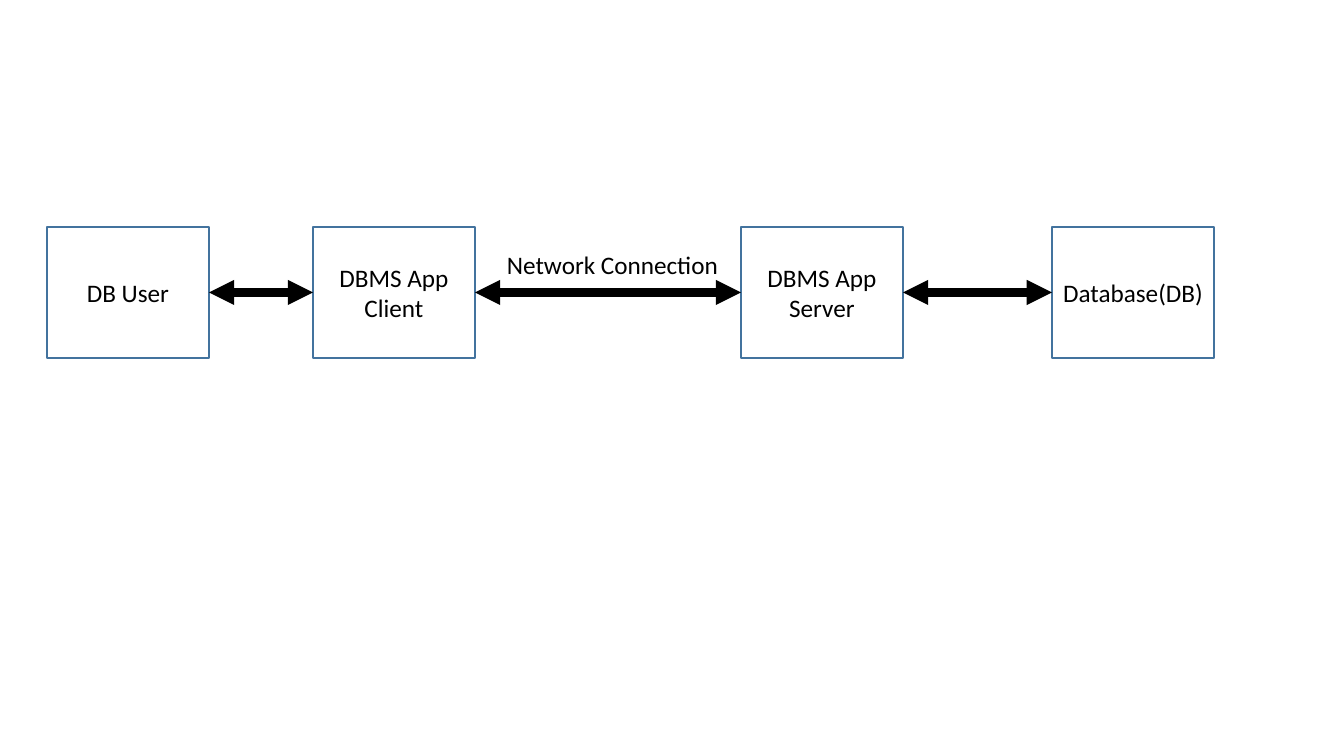
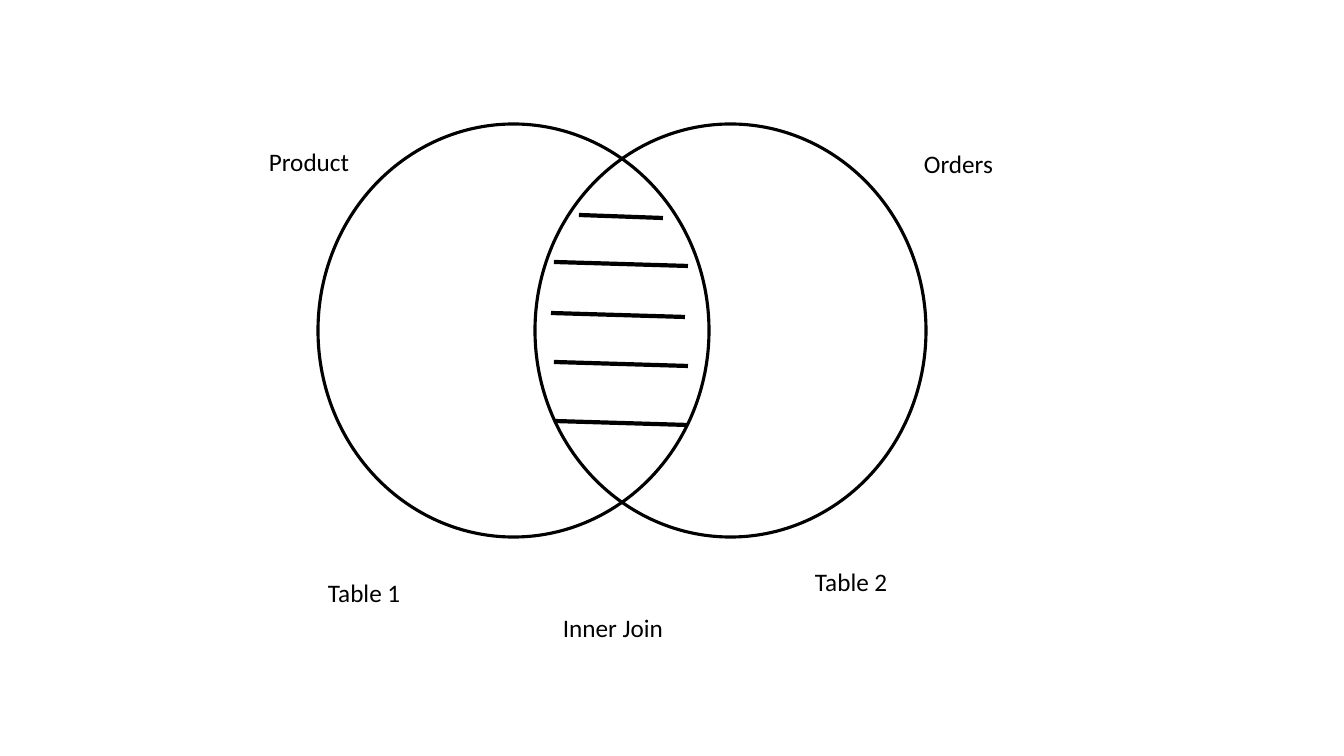
from itertools import pairwise

from lxml import etree
from pptx import Presentation
from pptx.dml.color import RGBColor
from pptx.enum.shapes import MSO_CONNECTOR, MSO_SHAPE
from pptx.enum.text import MSO_ANCHOR, MSO_AUTO_SIZE, PP_ALIGN
from pptx.oxml.ns import qn
from pptx.util import Pt

RECTANGLE, OVAL = MSO_SHAPE.RECTANGLE, MSO_SHAPE.OVAL
STRAIGHT = MSO_CONNECTOR.STRAIGHT
MIDDLE, CENTER, LEFT = MSO_ANCHOR.MIDDLE, PP_ALIGN.CENTER, PP_ALIGN.LEFT
FIT_SHAPE = MSO_AUTO_SIZE.SHAPE_TO_FIT_TEXT

COLORS = {"ink": "000000", "border": "43739E"}
FONT, TEXT_SIZE = "Calibri", 18
EMU_PER_PIXEL = 914400 / 100.8
PAGE_SIZE = (1344, 756)
LABEL_HEIGHT = 40

NODES = [
    ("DB User", 47),
    ("DBMS App\nClient", 313),
    ("DBMS App Server", 741),
    ("Database(DB)", 1052),
]
NODE_TOP, NODE_WIDTH, NODE_HEIGHT = 227, 162, 131
NETWORK_LABELS = [("Network Connection", 497, 244, 234)]

CIRCLE_LEFTS = (318, 535)
CIRCLE_TOP, CIRCLE_WIDTH, CIRCLE_HEIGHT = 124, 391, 413
HATCHES = [
    (579, 215, 84, 3),
    (554, 262, 134, 4),
    (551, 313, 134, 4),
    (554, 362, 134, 4),
    (554, 421, 134, 4),
]
JOIN_LABELS = [
    ("Table 1", 318, 572, 94),
    ("Table 2", 805, 561, 94),
    ("Inner Join", 553, 607, 122),
    ("Product", 259, 141, 102),
    ("Orders", 914, 143, 90),
]


def emu(*pixels):
    return [round(value * EMU_PER_PIXEL) for value in pixels]


def color(name):
    return RGBColor.from_string(COLORS[name])


def write(frame, text, align):
    frame.text = text
    for para in frame.paragraphs:
        para.alignment = align
        para.font.name = FONT
        para.font.size = Pt(TEXT_SIZE)
        para.font.color.rgb = color("ink")


def add_outline(page, kind, bounds, line_color, width):
    shape = page.shapes.add_shape(kind, *emu(*bounds))
    shape.shadow.inherit = False
    shape.fill.background()
    shape.line.color.rgb = color(line_color)
    shape.line.width = Pt(width)
    return shape


def add_line(page, start, end, width, arrows=False):
    line = page.shapes.add_connector(STRAIGHT, *emu(*start, *end))
    line.line.color.rgb = color("ink")
    line.line.width = Pt(width)
    properties = line._element.spPr
    etree.SubElement(properties, qn("a:effectLst"))
    if arrows:
        for tag in ("a:headEnd", "a:tailEnd"):
            etree.SubElement(line.line._get_or_add_ln(), qn(tag), type="triangle")


def add_labels(page, labels):
    for text, left, top, width in labels:
        box = page.shapes.add_textbox(*emu(left, top, width, LABEL_HEIGHT))
        box.text_frame.word_wrap = False
        box.text_frame.auto_size = FIT_SHAPE
        write(box.text_frame, text, LEFT)


def build_network(page):
    for text, left in NODES:
        bounds = (left, NODE_TOP, NODE_WIDTH, NODE_HEIGHT)
        node = add_outline(page, RECTANGLE, bounds, "border", 1)
        node.text_frame.word_wrap = True
        node.text_frame.vertical_anchor = MIDDLE
        write(node.text_frame, text, CENTER)
    middle = NODE_TOP + NODE_HEIGHT / 2
    for (_, left), (_, next_left) in pairwise(NODES):
        add_line(page, (left + NODE_WIDTH, middle), (next_left, middle), 6, arrows=True)
    add_labels(page, NETWORK_LABELS)


def build_join(page):
    for left in CIRCLE_LEFTS:
        bounds = (left, CIRCLE_TOP, CIRCLE_WIDTH, CIRCLE_HEIGHT)
        add_outline(page, OVAL, bounds, "ink", 2.25)
    for left, top, run, drop in HATCHES:
        add_line(page, (left, top), (left + run, top + drop), 3)
    add_labels(page, JOIN_LABELS)


deck = Presentation()
deck.slide_width, deck.slide_height = emu(*PAGE_SIZE)
for build in (build_network, build_join):
    build(deck.slides.add_slide(deck.slide_layouts[6]))
deck.save("out.pptx")
